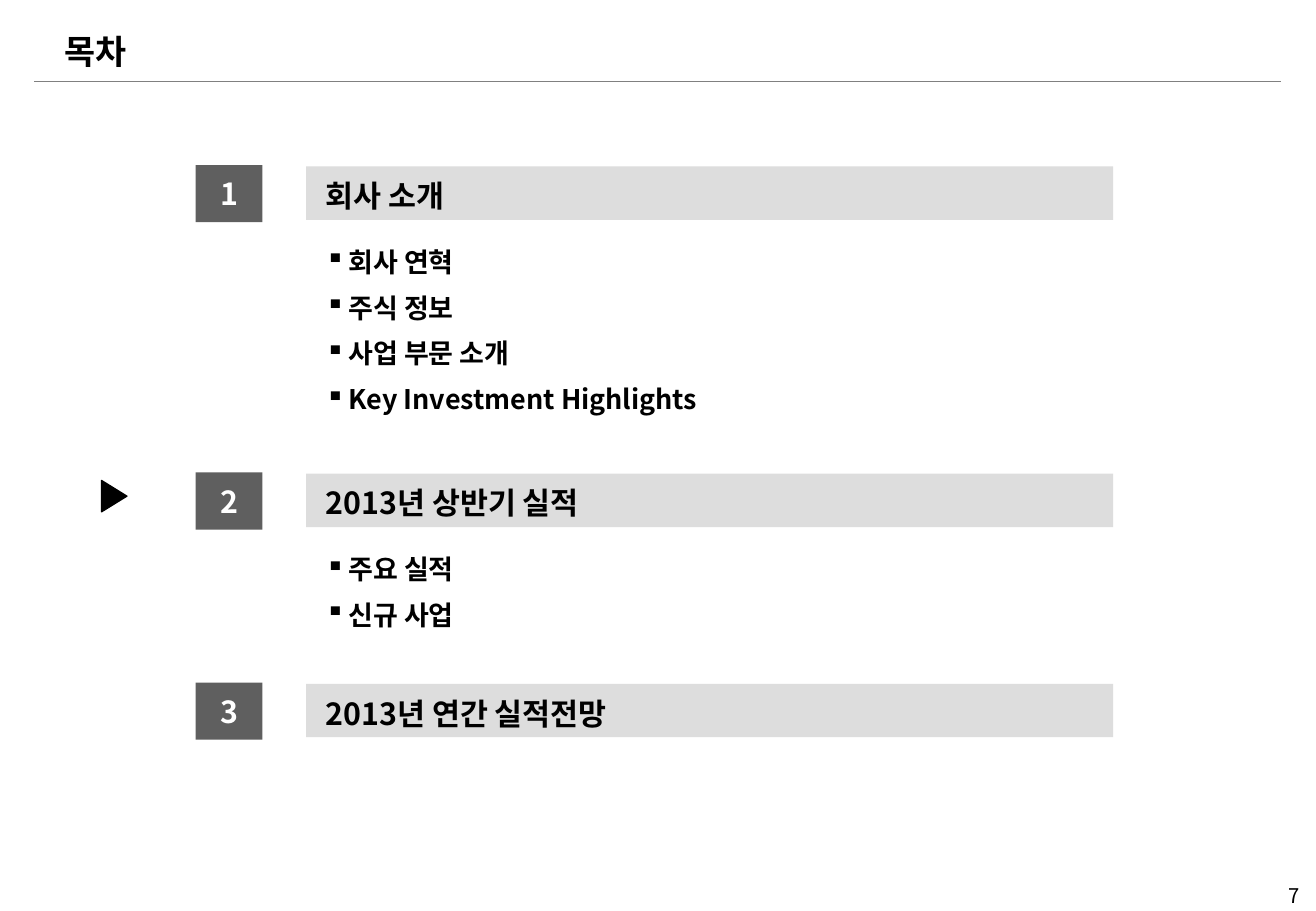
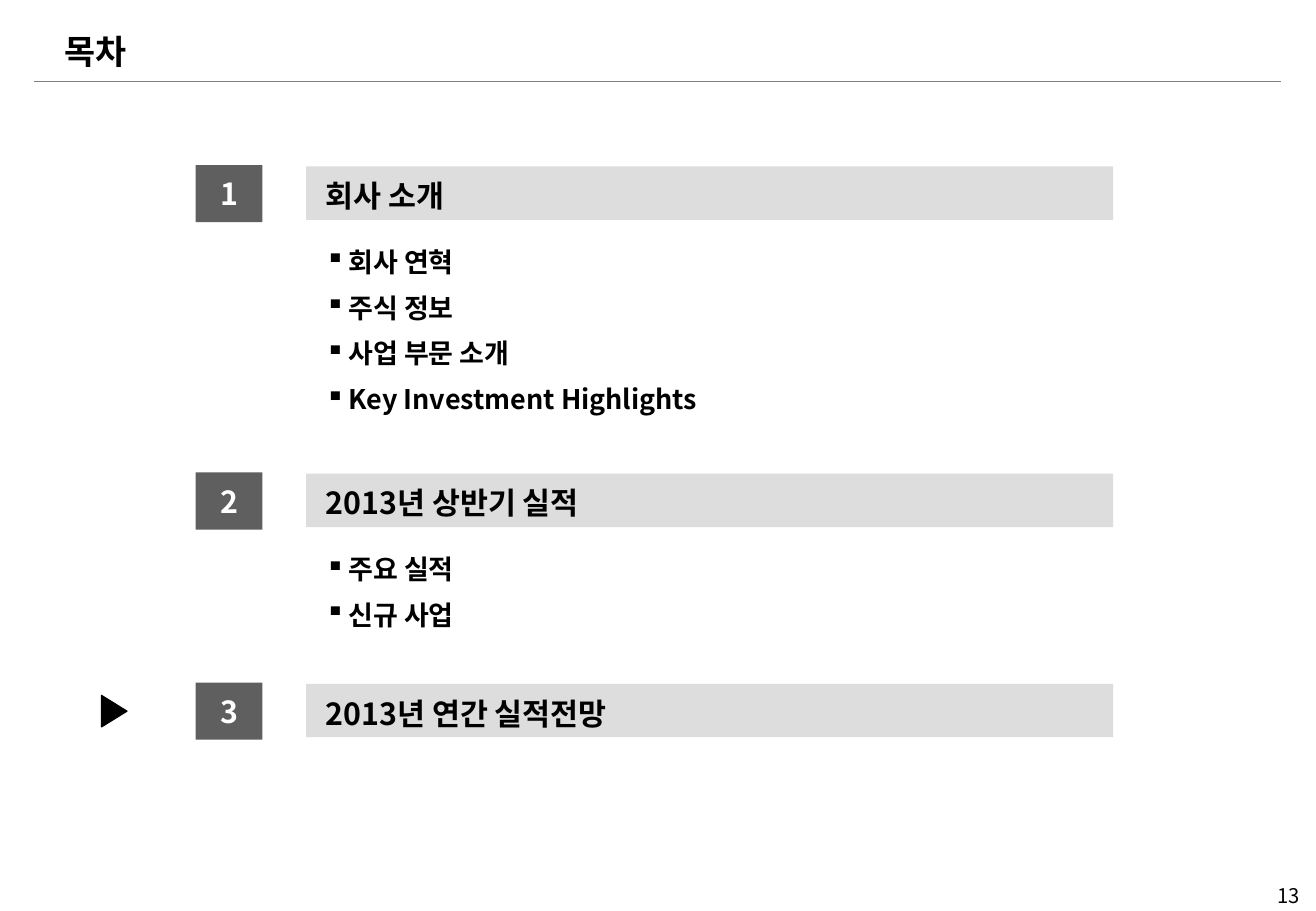
from lxml import etree
from pptx import Presentation
from pptx import util as u
from pptx.dml.color import RGBColor
from pptx.enum import shapes, text
from pptx.oxml.ns import qn

FONT = "Noto Sans CJK KR"
BLACK, WHITE, DARK, PALE, GRAY = "000000", "FFFFFF", "5F5F5F", "DDDDDD", "808080"
LEFT, CENTER, RIGHT = text.PP_ALIGN.LEFT, text.PP_ALIGN.CENTER, text.PP_ALIGN.RIGHT
TOP, MIDDLE = text.MSO_ANCHOR.TOP, text.MSO_ANCHOR.MIDDLE

TOPICS = [
    ("회사 소개", ["회사 연혁", "주식 정보", "사업 부문 소개", "Key Investment Highlights"]),
    ("2013년 상반기 실적", ["주요 실적", "신규 사업"]),
    ("2013년 연간 실적전망", []),
]
START, HEAD, STEP = 1.36, 0.93, 0.4


def color(code):
    return RGBColor.from_string(code)


def write(shape, lines, size=18, ink=BLACK, bold=True, align=LEFT, anchor=TOP,
          inset=(0, 0, 0, 0), bullet=None, before=0):
    frame = shape.text_frame
    frame.word_wrap = True
    frame.vertical_anchor = anchor
    frame.margin_left, frame.margin_top, frame.margin_right, frame.margin_bottom = map(u.Inches, inset)
    for i, line in enumerate(lines):
        para = frame.paragraphs[0] if i == 0 else frame.add_paragraph()
        para.alignment = align
        para.line_spacing = u.Pt(size * 1.2)
        para.space_before = u.Pt(before)
        run = para.add_run()
        run.text = line
        font = run.font
        font.name, font.size, font.bold = FONT, u.Pt(size), bold
        font.color.rgb = color(ink)
        etree.SubElement(run._r.get_or_add_rPr(), qn("a:ea")).set("typeface", FONT)
        if bullet:
            props = para._p.get_or_add_pPr()
            props.set("marL", str(u.Inches(0.19)))
            props.set("indent", str(u.Inches(-0.19)))
            etree.SubElement(props, qn("a:buChar")).set("char", bullet)


class Deck:
    """Hold the shared style and the current slide."""

    def __init__(self):
        self.file = Presentation()
        self.file.slide_width, self.file.slide_height = u.Inches(10.83), u.Inches(7.5)

    def page(self, title, number):
        self.slide = self.file.slides.add_slide(self.file.slide_layouts[6])
        self.rule(0.28, 10.54, 0.67)
        self.label((0.53, 0.25, 10.03, 0.33), [title], size=20)
        self.label((8.44, 7.27, 2.26, 0.2), [str(number)], size=12, bold=False, align=RIGHT)

    def rule(self, left, right, y):
        line = self.slide.shapes.add_connector(
            shapes.MSO_CONNECTOR.STRAIGHT, *map(u.Inches, (left, y, right, y)))
        line.line.color.rgb = color(GRAY)
        line.line.width = u.Pt(1)
        etree.SubElement(line._element.spPr, qn("a:effectLst"))

    def label(self, box, lines, **style):
        write(self.slide.shapes.add_textbox(*map(u.Inches, box)), lines, **style)

    def block(self, box, fill, kind=shapes.MSO_SHAPE.RECTANGLE):
        shape = self.slide.shapes.add_shape(kind, *map(u.Inches, box))
        shape.shadow.inherit = False
        shape.fill.solid()
        shape.fill.fore_color.rgb = color(fill)
        shape.line.fill.background()
        return shape

    def topic(self, y, number, title, items):
        write(self.block((1.61, y, 0.55, 0.47), DARK), [str(number)],
              ink=WHITE, align=CENTER, anchor=MIDDLE)
        write(self.block((2.52, y + 0.01, 6.64, 0.44), PALE), [title],
              anchor=MIDDLE, inset=(0.16, 0.08, 0, 0.04))
        if items:
            self.label((2.58, y + 0.61, 3.18, STEP * len(items) - 0.02), items, size=16,
                       inset=(0.1, 0.05, 0, 0.05), bullet="▪", before=8)

    def marker(self, y):
        shape = self.block((0.81, y, 0.26, 0.21), BLACK, shapes.MSO_SHAPE.ISOSCELES_TRIANGLE)
        shape.rotation = 90
        shape.line.color.rgb = color(BLACK)
        shape.line.width = u.Pt(0.75)


def main():
    deck = Deck()
    for number, mark in ((7, 3.98), (13, 5.75)):
        deck.page("목차", number)
        y = START
        for i, (title, items) in enumerate(TOPICS, 1):
            deck.topic(y, i, title, items)
            y += HEAD + STEP * len(items)
        deck.marker(mark)
    deck.file.save("out.pptx")


if __name__ == "__main__":
    main()
